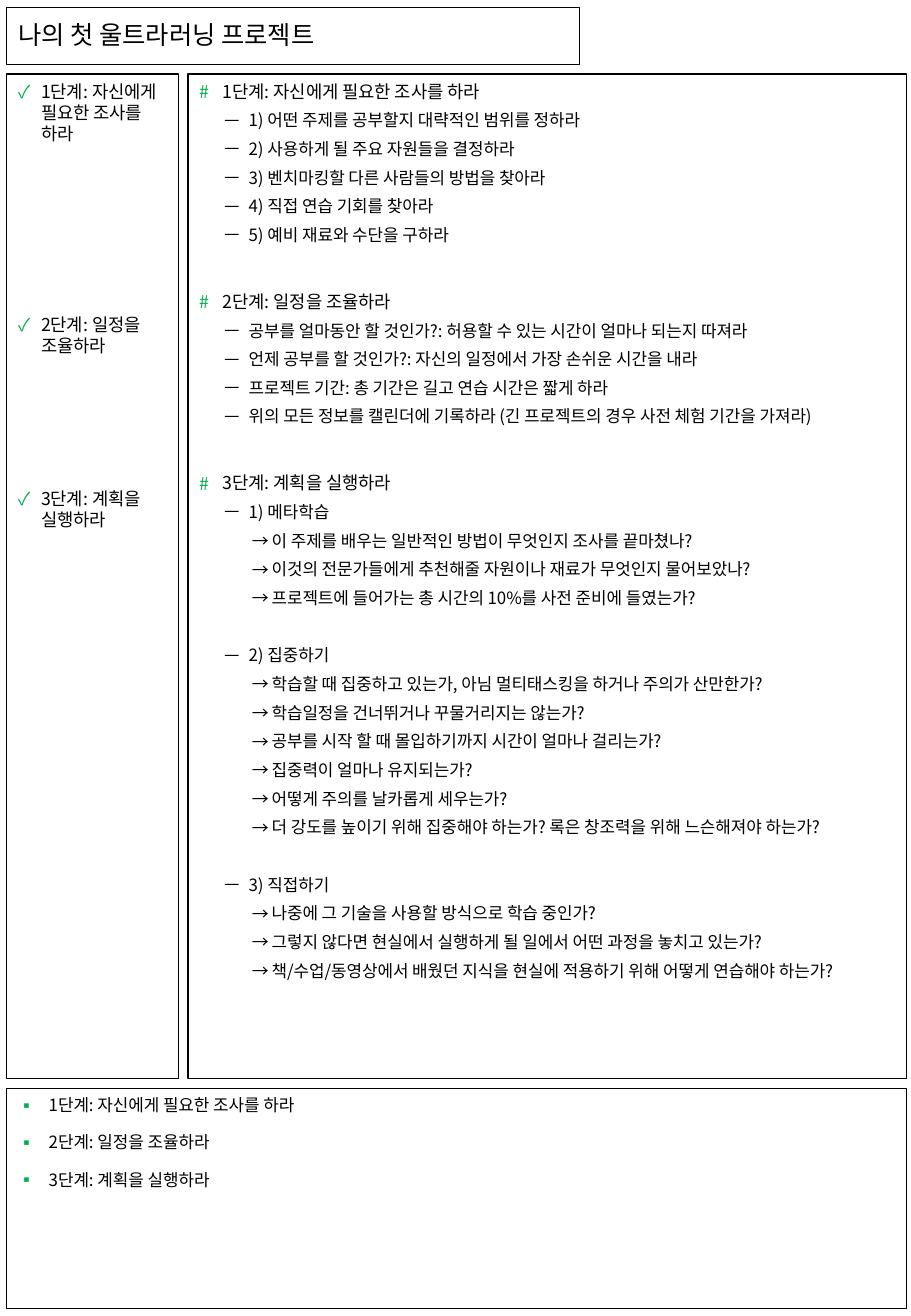
from pptx import Presentation
from pptx.dml.color import RGBColor
from pptx.enum.shapes import MSO_SHAPE as Shape
from pptx.enum.text import MSO_ANCHOR as Anchor, PP_ALIGN as Align
from pptx.oxml.ns import qn
from pptx.util import Cm, Pt
from lxml.etree import SubElement

FONT, BLACK, GREEN = "Noto Sans CJK KR", "000000", "00B050"

# Style: size, level, text indent and hanging (cm), space before, bullet, bullet colour
STYLES = {
    "cue": (10.5, 0, 0.48, 0.48, 10, "✓", GREEN),
    "step": (10.5, 0, 0.48, 0.48, 10, "#", GREEN),
    "point": (10, 1, 1.02, 0.51, 5, "ￚ", BLACK),
    "question": (10, 2, 1.5, 0.41, 5, "→", BLACK),
    "summary": (10, 0, 0.64, 0.64, 10, "▪", GREEN),
}
LINE_FACTOR = 1.2
SECTION_GAP = 17

STEPS = ["1단계: 자신에게 필요한 조사를 하라", "2단계: 일정을 조율하라", "3단계: 계획을 실행하라"]
# Each step holds points, each with its questions
NOTES = [
    [
        ("1) 어떤 주제를 공부할지 대략적인 범위를 정하라", []),
        ("2) 사용하게 될 주요 자원들을 결정하라", []),
        ("3) 벤치마킹할 다른 사람들의 방법을 찾아라", []),
        ("4) 직접 연습 기회를 찾아라", []),
        ("5) 예비 재료와 수단을 구하라", []),
    ],
    [
        ("공부를 얼마동안 할 것인가?: 허용할 수 있는 시간이 얼마나 되는지 따져라", []),
        ("언제 공부를 할 것인가?: 자신의 일정에서 가장 손쉬운 시간을 내라", []),
        ("프로젝트 기간: 총 기간은 길고 연습 시간은 짧게 하라", []),
        ("위의 모든 정보를 캘린더에 기록하라 (긴 프로젝트의 경우 사전 체험 기간을 가져라)", []),
    ],
    [
        ("1) 메타학습", [
            "이 주제를 배우는 일반적인 방법이 무엇인지 조사를 끝마쳤나?",
            "이것의 전문가들에게 추천해줄 자원이나 재료가 무엇인지 물어보았나?",
            "프로젝트에 들어가는 총 시간의 10%를 사전 준비에 들였는가?",
        ]),
        ("2) 집중하기", [
            "학습할 때 집중하고 있는가, 아님 멀티태스킹을 하거나 주의가 산만한가?",
            "학습일정을 건너뛰거나 꾸물거리지는 않는가?",
            "공부를 시작 할 때 몰입하기까지 시간이 얼마나 걸리는가?",
            "집중력이 얼마나 유지되는가?",
            "어떻게 주의를 날카롭게 세우는가?",
            "더 강도를 높이기 위해 집중해야 하는가? 록은 창조력을 위해 느슨해져야 하는가?",
        ]),
        ("3) 직접하기", [
            "나중에 그 기술을 사용할 방식으로 학습 중인가?",
            "그렇지 않다면 현실에서 실행하게 될 일에서 어떤 과정을 놓치고 있는가?",
            "책/수업/동영상에서 배웠던 지식을 현실에 적용하기 위해 어떻게 연습해야 하는가?",
        ]),
    ],
]


def color(value):
    return RGBColor.from_string(value)


def apply(target, values):
    for name, value in values.items():
        setattr(target, name, value)


class NoteSheet:
    def __init__(self, slide):
        self.slide = slide

    def outline(self, shape, anchor):
        shape.fill.background()
        shape.line.color.rgb = color(BLACK)
        shape.line.width = Pt(0.75)
        apply(shape.text_frame, {
            "word_wrap": True, "vertical_anchor": anchor,
            "margin_left": Cm(0.25), "margin_right": Cm(0.25),
            "margin_top": Cm(0.13), "margin_bottom": Cm(0.13),
        })

    def add_text(self, paragraph, text, size):
        run = paragraph.add_run()
        run.text = text
        apply(run.font, {"name": FONT, "size": Pt(size)})
        run.font.color.rgb = color(BLACK)
        latin = run._r.get_or_add_rPr().find(qn("a:latin"))
        east_asian = latin.makeelement(qn("a:ea"), {"typeface": FONT})
        latin.addnext(east_asian)

    def title(self, text, left, top, width, height):
        shape = self.slide.shapes.title
        apply(shape, {"left": Cm(left), "top": Cm(top), "width": Cm(width), "height": Cm(height)})
        self.outline(shape, Anchor.MIDDLE)
        paragraph = shape.text_frame.paragraphs[0]
        apply(paragraph, {"alignment": Align.LEFT, "line_spacing": 0.9})
        self.add_text(paragraph, text, 15)

    def bullet(self, paragraph, style, text, extra):
        size, level, indent, hanging, before, mark, mark_color = STYLES[style]
        properties = paragraph._p.get_or_add_pPr()
        properties.set("marL", str(int(Cm(indent))))
        properties.set("indent", str(-int(Cm(hanging))))
        SubElement(SubElement(properties, qn("a:buClr")), qn("a:srgbClr")).set("val", mark_color)
        SubElement(properties, qn("a:buFont")).set("typeface", FONT)
        SubElement(properties, qn("a:buChar")).set("char", mark)
        apply(paragraph, {
            "level": level, "alignment": Align.LEFT,
            "line_spacing": Pt(size * LINE_FACTOR),
            "space_before": Pt(0 if extra is None else before + extra),
        })
        self.add_text(paragraph, text, size)

    def panel(self, items, left, top, width, height):
        """Items are (style, text, extra space before)."""
        shape = self.slide.shapes.add_shape(
            Shape.RECTANGLE, Cm(left), Cm(top), Cm(width), Cm(height))
        shape.shadow.inherit = False
        self.outline(shape, Anchor.TOP)
        frame = shape.text_frame
        for index, (style, text, extra) in enumerate(items):
            paragraph = frame.add_paragraph() if index else frame.paragraphs[0]
            self.bullet(paragraph, style, text, extra if index else None)


def note_items():
    for step, points in zip(STEPS, NOTES):
        yield "step", step, SECTION_GAP
        after_questions = False
        for point, questions in points:
            yield "point", point, SECTION_GAP if after_questions else 0
            for question in questions:
                yield "question", question, 0
            after_questions = bool(questions)


def main():
    presentation = Presentation()
    apply(presentation, {"slide_width": Cm(19.05), "slide_height": Cm(27.51)})
    slide = presentation.slides.add_slide(presentation.slide_layouts[5])
    sheet = NoteSheet(slide)

    # Title
    sheet.title("나의 첫 울트라러닝 프로젝트", 0.13, 0.15, 11.99, 1.2)

    # Cue column
    cue_gaps = [0, 90.4, 67.8]
    sheet.panel([("cue", step, gap) for step, gap in zip(STEPS, cue_gaps)],
                0.13, 1.55, 3.61, 21)

    # Notes column
    sheet.panel(note_items(), 3.93, 1.55, 15.02, 21)

    # Summary
    sheet.panel([("summary", step, 0) for step in STEPS], 0.13, 22.76, 18.82, 4.6)

    presentation.save("out.pptx")


if __name__ == "__main__":
    main()
